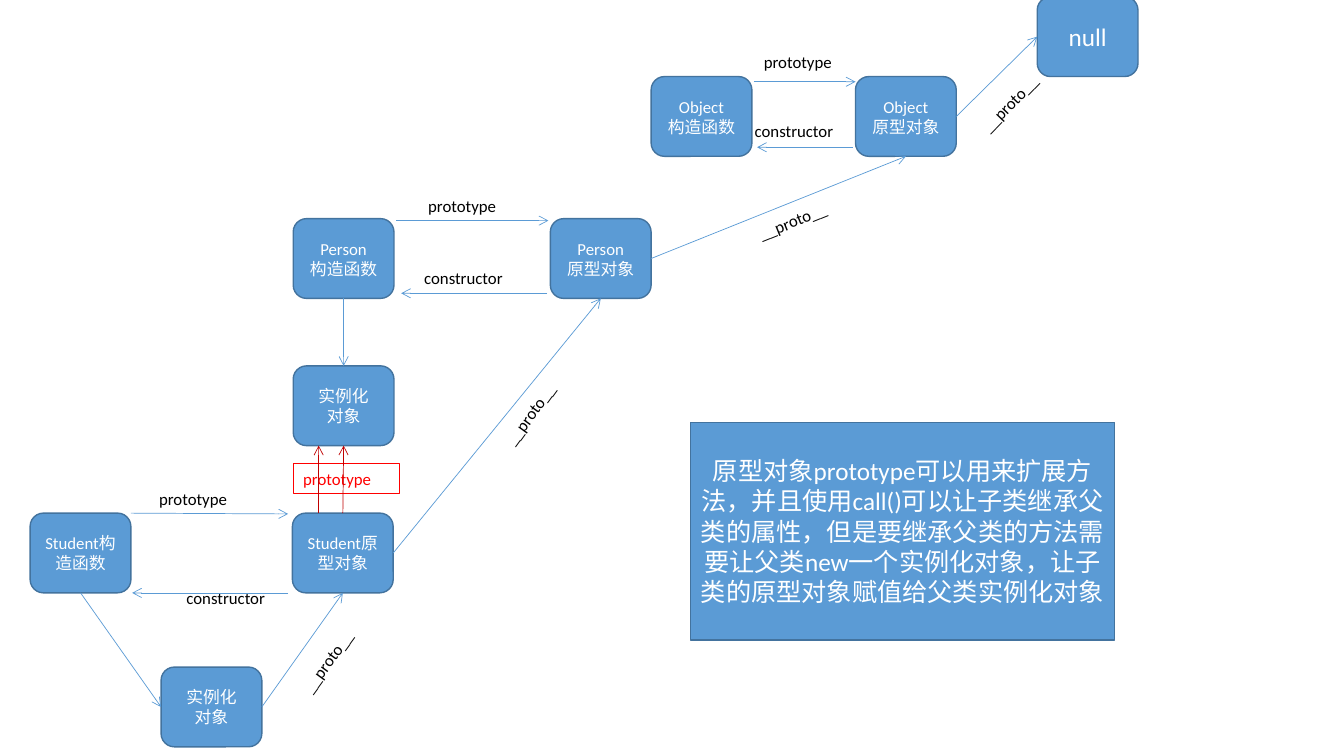
from dataclasses import dataclass

from lxml import etree
from pptx import Presentation
from pptx.dml.color import RGBColor
from pptx.enum.shapes import MSO_CONNECTOR, MSO_SHAPE
from pptx.enum.text import MSO_ANCHOR, MSO_AUTO_SIZE, PP_ALIGN
from pptx.oxml.ns import qn
from pptx.util import Cm, Pt

STRAIGHT = MSO_CONNECTOR.STRAIGHT
ROUNDED, RECTANGLE = MSO_SHAPE.ROUNDED_RECTANGLE, MSO_SHAPE.RECTANGLE
MIDDLE = MSO_ANCHOR.MIDDLE
FIT_TEXT = MSO_AUTO_SIZE.SHAPE_TO_FIT_TEXT
CENTER, LEFT = PP_ALIGN.CENTER, PP_ALIGN.LEFT
TOP_SIDE, LEFT_SIDE, BOTTOM_SIDE, RIGHT_SIDE = range(4)


@dataclass
class Theme:
    font: str = "Calibri"
    fill: RGBColor = RGBColor(0x5B, 0x9B, 0xD5)
    border: RGBColor = RGBColor(0x43, 0x73, 0x9E)
    white: RGBColor = RGBColor(0xFF, 0xFF, 0xFF)
    black: RGBColor = RGBColor(0, 0, 0)
    red: RGBColor = RGBColor(0xFF, 0, 0)
    dark_red: RGBColor = RGBColor(0xC0, 0, 0)
    small: Pt = Pt(12)
    large: Pt = Pt(18)


theme = Theme()


def write(box, lines, size, color, align):
    frame = box.text_frame
    for index, line in enumerate(lines):
        para = frame.add_paragraph() if index else frame.paragraphs[0]
        para.alignment = align
        span = para.add_run()
        span.text = line
        span.font.name = theme.font
        span.font.size = size
        span.font.color.rgb = color


def add_arrow(start, end, color):
    arrow = page.shapes.add_connector(STRAIGHT, *map(Cm, start + end))
    arrow.line.color.rgb = color
    arrow.line.width = Pt(0.5)
    etree.SubElement(arrow.line._get_or_add_ln(), qn("a:tailEnd"), type="arrow")
    etree.SubElement(arrow._element.spPr, qn("a:effectLst"))
    return arrow


deck = Presentation()
deck.slide_width, deck.slide_height = Cm(33.87), Cm(19.05)
page = deck.slides.add_slide(deck.slide_layouts[6])

node_size = (2.54, 2.01)
note_text = (
    "原型对象prototype可以用来扩展方法，并且使用call()可以让子类继承父类的属性，"
    "但是要继承父类的方法需要让父类new一个实例化对象，让子类的原型对象赋值给父类实例化对象"
)
blocks = {
    "student_constructor": (ROUNDED, (0.76, 12.93), node_size, ["Student构造函数"], theme.small),
    "student_prototype": (ROUNDED, (7.37, 12.93), node_size, ["Student原型对象"], theme.small),
    "student_instance": (ROUNDED, (4.06, 16.81), node_size, ["实例化", "对象"], theme.small),
    "person_constructor": (ROUNDED, (7.39, 5.51), node_size, ["Person", "构造函数"], theme.small),
    "person_prototype": (ROUNDED, (13.87, 5.51), node_size, ["Person", "原型对象"], theme.small),
    "person_instance": (ROUNDED, (7.39, 9.22), node_size, ["实例化", "对象"], theme.small),
    "null": (ROUNDED, (26.14, -0.08), node_size, ["null"], theme.large),
    "object_constructor": (ROUNDED, (16.41, 1.93), node_size, ["Object", "构造函数"], theme.small),
    "object_prototype": (ROUNDED, (21.56, 1.93), node_size, ["Object", "原型对象"], theme.small),
    "note": (RECTANGLE, (17.4, 10.64), (10.69, 5.49), [note_text], theme.large),
}
boxes = {}
for name, (kind, place, size, lines, type_size) in blocks.items():
    box = page.shapes.add_shape(kind, *map(Cm, place + size))
    box.shadow.inherit = False
    box.fill.solid()
    box.fill.fore_color.rgb = theme.fill
    box.line.color.rgb = theme.border
    box.line.width = Pt(1)
    box.text_frame.word_wrap = True
    box.text_frame.vertical_anchor = MIDDLE
    write(box, lines, type_size, theme.white, CENTER)
    boxes[name] = box

labels = [
    ("prototype", 3.76, 12.19, 2.69, 0),
    ("prototype", 10.54, 4.8, 2.69, 0),
    ("prototype", 19, 1.17, 2.69, 0),
    ("constructor", 4.45, 14.68, 2.82, 0),
    ("constructor", 10.44, 6.63, 2.82, 0),
    ("constructor", 18.77, 2.92, 2.82, 0),
    ("__proto__", 7.09, 16.26, 2.36, 306),
    ("__proto__", 12.19, 10.03, 2.36, 306),
    ("__proto__", 18.82, 5.18, 2.36, 338),
    ("__proto__", 24.28, 2.21, 2.36, 314),
    ("prototype", 7.39, 11.68, 2.69, 0),
]
for text, left, top, width, angle in labels:
    label = page.shapes.add_textbox(Cm(left), Cm(top), Cm(width), Cm(0.76))
    label.rotation = angle
    label.text_frame.word_wrap = angle == 0
    label.text_frame.auto_size = FIT_TEXT
    inherited = top == 11.68
    write(label, [text], theme.small, theme.red if inherited else theme.black, LEFT)
    if inherited:
        label.line.color.rgb = theme.red
        label.line.width = Pt(0.75)

links = [
    ("student_constructor", BOTTOM_SIDE, "student_instance", LEFT_SIDE, theme.fill),
    ("student_instance", RIGHT_SIDE, "student_prototype", BOTTOM_SIDE, theme.fill),
    ("student_prototype", RIGHT_SIDE, "person_prototype", BOTTOM_SIDE, theme.fill),
    ("person_constructor", BOTTOM_SIDE, "person_instance", TOP_SIDE, theme.fill),
    ("person_prototype", RIGHT_SIDE, "object_prototype", BOTTOM_SIDE, theme.fill),
    ("object_prototype", RIGHT_SIDE, "null", LEFT_SIDE, theme.fill),
    ("student_prototype", TOP_SIDE, "person_instance", BOTTOM_SIDE, theme.dark_red),
]
for source, source_side, target, target_side, color in links:
    arrow = add_arrow((0, 0), (0, 0), color)
    arrow.begin_connect(boxes[source], source_side)
    arrow.end_connect(boxes[target], target_side)

free_arrows = [
    ((3.3, 12.93), (7.26, 12.95), theme.fill),
    ((7.26, 14.94), (3.33, 14.94), theme.fill),
    ((9.98, 5.56), (13.82, 5.56), theme.fill),
    ((13.79, 7.39), (10.11, 7.39), theme.fill),
    ((19, 2.06), (21.56, 2.06), theme.fill),
    ((21.49, 3.71), (19.08, 3.71), theme.fill),
    ((8.03, 12.93), (8.03, 11.23), theme.dark_red),
]
for start, end, color in free_arrows:
    add_arrow(start, end, color)

deck.save("out.pptx")
